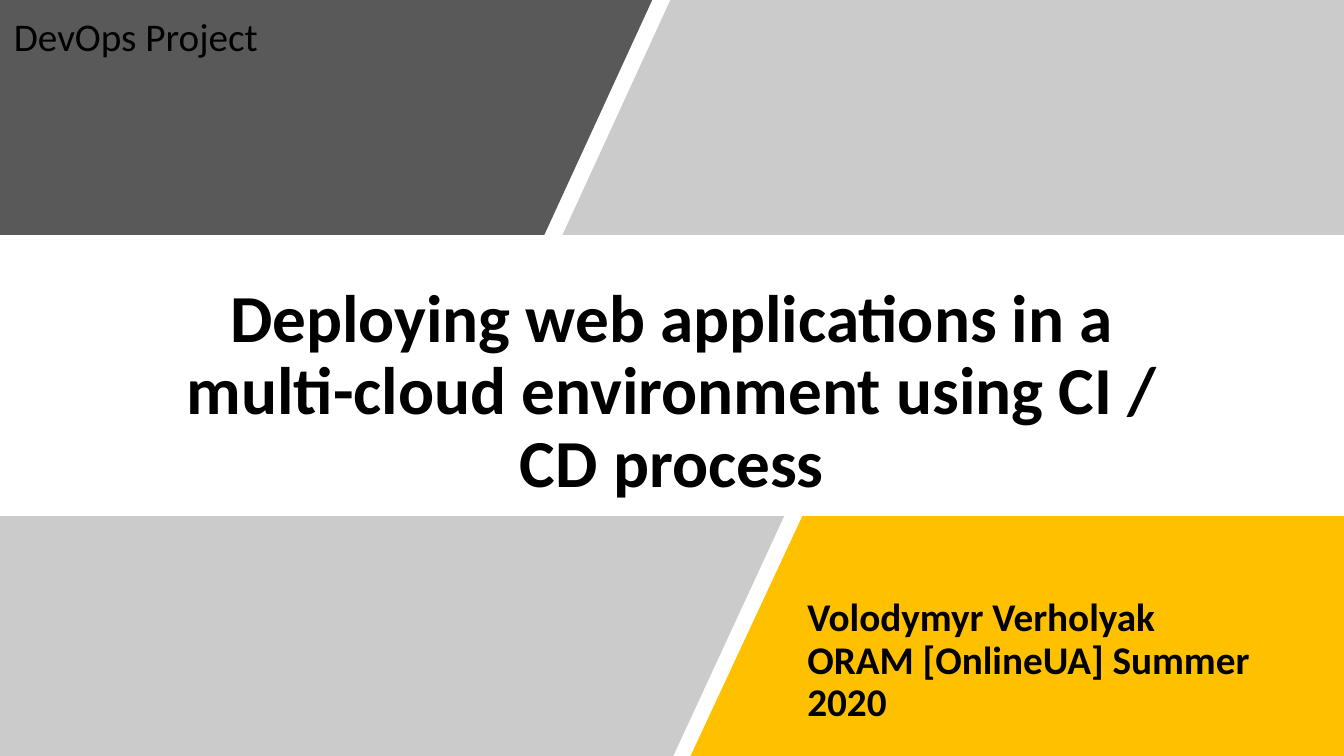
from lxml.etree import SubElement
from pptx import Presentation
from pptx.dml.color import RGBColor
from pptx.enum.text import MSO_ANCHOR, MSO_AUTO_SIZE, PP_ALIGN
from pptx.oxml.ns import qn
from pptx.util import Inches, Pt


def paint(fmt, color, alpha=None):
    """Fill with a hex colour; alpha is the opacity in percent."""
    fmt.solid()
    fmt.fore_color.rgb = RGBColor.from_string(color)
    if alpha is not None:
        node = fmt._xPr.find(qn("a:solidFill"))[0]
        SubElement(node, qn("a:alpha"), val=str(alpha * 1000))


class Cover:
    """Style and current slide; lengths are percent of the slide's size."""
    FONT, INK = "Calibri", "000000"

    def __init__(self, deck):
        self.wide, self.high = deck.slide_width, deck.slide_height
        self.slide = deck.slides.add_slide(deck.slide_layouts[5])

    def x(self, share):
        return round(self.wide * share / 100)

    def y(self, share):
        return round(self.high * share / 100)

    def band(self, rows, upper, lower, color, alpha=None):
        """Slanted block: rows (top, bottom), edges (left, right) at each."""
        top, low = map(self.y, rows)
        (a, b), (c, d) = map(self.x, upper), map(self.x, lower)
        pen = self.slide.shapes.build_freeform(a, top)
        pen.add_line_segments([(b, top), (d, low), (c, low)], close=True)
        shape = pen.convert_to_shape()
        shape.shadow.inherit = False
        shape.line.fill.background()
        paint(shape.fill, color, alpha)

    def letter(self, frame, lines, size, bold, align):
        frame.word_wrap = True
        frame.auto_size = MSO_AUTO_SIZE.NONE
        frame.vertical_anchor = MSO_ANCHOR.BOTTOM
        for i, line in enumerate(lines):
            para = frame.add_paragraph() if i else frame.paragraphs[0]
            para.alignment, para.line_spacing = align, 0.9
            run = para.add_run()
            run.text = line
            font = run.font
            font.name, font.size, font.bold = self.FONT, Pt(size), bold
            paint(font.fill, self.INK)

    def title(self, box, line):
        shape = self.slide.shapes.title
        left, top, wide, high = box
        shape.left, shape.top = self.x(left), self.y(top)
        shape.width, shape.height = self.x(wide), self.y(high)
        self.letter(shape.text_frame, [line], 48, True, PP_ALIGN.CENTER)

    def text(self, box, lines, bold=False):
        left, top, wide, high = box
        shape = self.slide.shapes.add_textbox(
            self.x(left), self.y(top), self.x(wide), self.y(high))
        self.letter(shape.text_frame, lines, 28, bold, PP_ALIGN.LEFT)


def main():
    deck = Presentation()
    deck.slide_width, deck.slide_height = Inches(13.33), Inches(7.5)
    cover = Cover(deck)

    # Title
    cover.title((12.5, 32.8, 75, 34.27),
                "Deploying web applications in a multi-cloud environment "
                "using CI / CD process")

    # Slanted bands above and below the title
    head, foot = (0, 31.07), (68.27, 100)
    cover.band(head, (0, 48.53), (0, 40.5), "595959")
    cover.band(head, (49.88, 100), (41.85, 100), "7F7F7F", 40)
    cover.band(foot, (58.73, 87.55), (50.48, 87.55), "FFFFFF")
    cover.band(foot, (59.7, 100), (51.38, 100), "FFC000")
    cover.band(foot, (0, 58.35), (0, 50.1), "7F7F7F", 40)

    # Author and project
    cover.text((59.33, 79.33, 39.6, 17.2),
               ["Volodymyr Verholyak", "ORAM [OnlineUA] Summer 2020"], True)
    cover.text((0.3, 0.93, 39.6, 7.6), ["DevOps Project"])

    deck.save("out.pptx")


if __name__ == "__main__":
    main()
